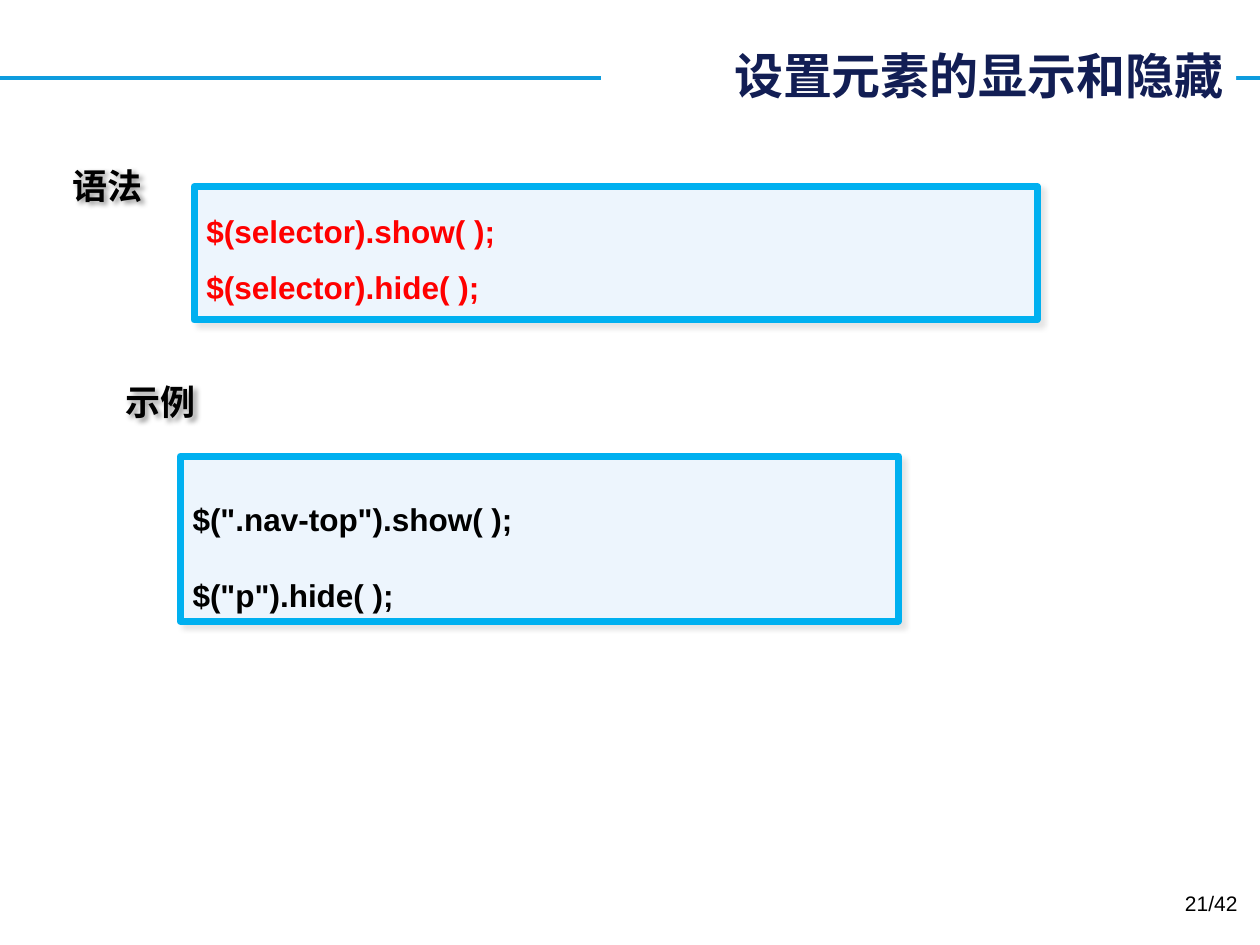
from lxml.etree import SubElement
from pptx import Presentation
from pptx.dml.color import RGBColor
from pptx.enum.shapes import MSO_CONNECTOR, MSO_SHAPE
from pptx.enum.text import MSO_ANCHOR, PP_ALIGN
from pptx.oxml.ns import qn
from pptx.util import Inches, Pt

COLORS = {
    "rule": "0E9CDE",
    "title": "121E54",
    "panel": "EDF5FD",
    "border": "00B0F0",
    "syntax": "FF0000",
    "text": "000000",
    "white": "FFFFFF",
}
LATIN = "Arial"
CJK = "Noto Sans CJK SC"


def rgb(name):
    return RGBColor.from_string(COLORS[name])


def style_text(tf, font, size, color, bold=True, align=PP_ALIGN.LEFT, spacing=1):
    for p in tf.paragraphs:
        p.alignment = align
        p.line_spacing = spacing
        for r in p.runs:
            r.font.name = font
            r.font.size = Pt(size)
            r.font.bold = bold
            r.font.color.rgb = rgb(color)
            if font == CJK:
                SubElement(r.font._element, qn("a:ea"), typeface=font)


def add_shadow(sp, blur, dist, alpha):
    sp.shadow.inherit = False
    effects = sp.element.spPr.find(qn("a:effectLst"))
    shadow = SubElement(effects, qn("a:outerShdw"), blurRad=str(Pt(blur)),
                        dist=str(Pt(dist)), dir="2700000", algn="tl", rotWithShape="0")
    color = SubElement(shadow, qn("a:srgbClr"), val=COLORS["text"])
    SubElement(color, qn("a:alpha"), val=str(alpha * 1000))


def add_title(s, text):
    sp = s.shapes.title
    sp.left, sp.top = Inches(4.77), Inches(0.31)
    sp.width, sp.height = Inches(5.04), Inches(0.57)
    sp.fill.solid()
    sp.fill.fore_color.rgb = rgb("white")
    tf = sp.text_frame
    tf.text = text
    tf.vertical_anchor = MSO_ANCHOR.MIDDLE
    style_text(tf, CJK, 28, "title", align=PP_ALIGN.RIGHT)


def add_rule_behind_title(s, y):
    line = s.shapes.add_connector(MSO_CONNECTOR.STRAIGHT, 0, Inches(y), Inches(10), Inches(y))
    line.line.color.rgb = rgb("rule")
    line.line.width = Pt(2.25)
    SubElement(line.element.spPr, qn("a:effectLst"))
    s.shapes.title.element.addprevious(line.element)


def add_label(s, text, x, y):
    sp = s.shapes.add_textbox(Inches(x), Inches(y), Inches(0.77), Inches(0.44))
    tf = sp.text_frame
    tf.text = text
    tf.word_wrap = False
    tf.vertical_anchor = MSO_ANCHOR.MIDDLE
    style_text(tf, CJK, 20, "text")
    add_shadow(sp, 3, 2, 40)


def add_code_panel(s, lines, x, y, w, h, color, spacing):
    sp = s.shapes.add_shape(MSO_SHAPE.ROUNDED_RECTANGLE, Inches(x), Inches(y),
                            Inches(w), Inches(h))
    sp.adjustments[0] = 0
    sp.fill.solid()
    sp.fill.fore_color.rgb = rgb("panel")
    sp.line.color.rgb = rgb("border")
    sp.line.width = Pt(4)
    add_shadow(sp, 3, 3, 10)
    tf = sp.text_frame
    tf.text = "\n".join(lines)
    tf.word_wrap = True
    tf.vertical_anchor = MSO_ANCHOR.TOP
    style_text(tf, LATIN, 18, color, spacing=spacing)


def add_page_number(s, text):
    sp = s.shapes.add_textbox(Inches(7.59), Inches(7.02), Inches(2.33), Inches(0.4))
    tf = sp.text_frame
    tf.text = text
    tf.word_wrap = True
    style_text(tf, LATIN, 12, "text", bold=False, align=PP_ALIGN.RIGHT)


def main():
    prs = Presentation()
    prs.slide_width, prs.slide_height = Inches(10), Inches(7.5)
    s = prs.slides.add_slide(prs.slide_layouts[5])
    add_title(s, "设置元素的显示和隐藏")
    add_rule_behind_title(s, 0.62)
    add_label(s, "语法", 0.48, 1.25)
    add_code_panel(s, ["$(selector).show( );", "$(selector).hide( );"],
                   1.54, 1.48, 6.69, 1.06, "syntax", 1.5)
    add_code_panel(s, ['$(".nav-top").show( );', '$("p").hide( );'],
                   1.43, 3.62, 5.7, 1.31, "text", 2.0)
    add_label(s, "示例", 0.9, 2.97)
    add_page_number(s, "21/42")
    prs.save("out.pptx")


if __name__ == "__main__":
    main()
